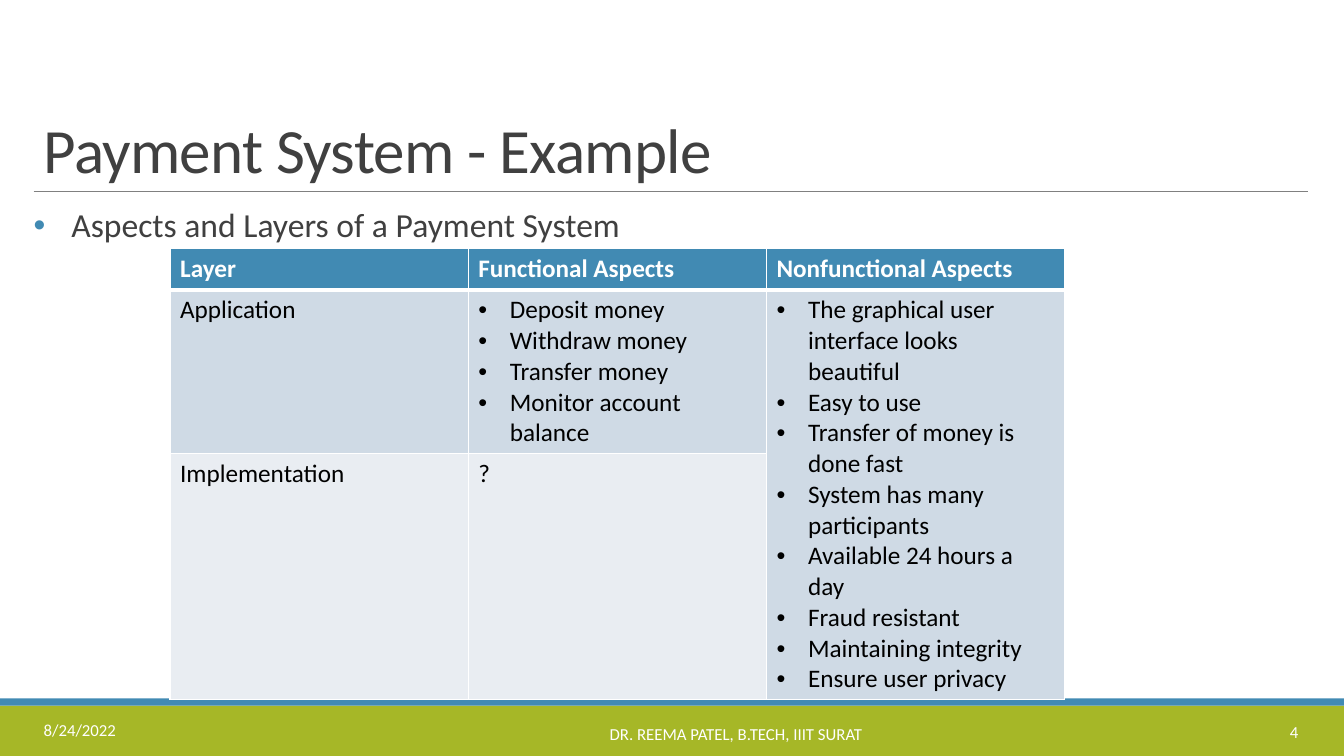
from lxml.etree import SubElement
from pptx import Presentation
from pptx.dml.color import RGBColor
from pptx.enum.shapes import MSO_CONNECTOR as CONN, MSO_SHAPE as SHAPE
from pptx.enum.text import MSO_ANCHOR as ANCHOR, MSO_AUTO_SIZE as AUTO, PP_ALIGN as ALIGN
from pptx.oxml import parse_xml
from pptx.oxml.ns import nsdecls, qn
from pptx.util import Pt

PX = 9525  # 96 px to the inch
COLORS = {"blue": "418AB3", "green": "A6B727", "rule": "808080", "text": "404040",
          "white": "FFFFFF", "black": "000000", "band1": "CFDAE5", "band2": "E9EDF2"}


def add_run(p, text, size, color, bold=False):
    r = p.add_run()
    r.text = text
    r.font.name, r.font.size, r.font.bold = "Calibri", Pt(size), bold
    r.font.color.rgb = RGBColor.from_string(COLORS[color])
    return r


def add_bullet(p, indent, color):
    pPr = p._p.get_or_add_pPr()
    pPr.set("marL", str(indent * PX))
    pPr.set("indent", str(-indent * PX))
    clr = SubElement(pPr, qn("a:buClr"))
    SubElement(clr, qn("a:srgbClr"), val=COLORS[color])
    SubElement(pPr, qn("a:buFont"), typeface="Arial")
    SubElement(pPr, qn("a:buChar"), char="•")


prs = Presentation()
prs.slide_width, prs.slide_height = 1280 * PX, 720 * PX
s = prs.slides.add_slide(prs.slide_layouts[5])

# Footer bars
for top, height, color in ((672, 48, "green"), (665, 7, "blue")):
    bar = s.shapes.add_shape(SHAPE.RECTANGLE, 0, top * PX, 1280 * PX, height * PX)
    bar.shadow.inherit = False
    bar.fill.solid()
    bar.fill.fore_color.rgb = RGBColor.from_string(COLORS[color])
    bar.line.fill.background()

# Rule under the title
rule = s.shapes.add_connector(CONN.STRAIGHT, 32 * PX, 182 * PX, 1246 * PX, 182 * PX)
rule.line.color.rgb = RGBColor.from_string(COLORS["rule"])
rule.line.width = Pt(0.5)
SubElement(rule._element.spPr, qn("a:effectLst"))

# Title
title = s.shapes.title
title.left, title.top, title.width, title.height = 32 * PX, 30 * PX, 1214 * PX, 152 * PX
tf = title.text_frame
tf.auto_size, tf.word_wrap, tf.vertical_anchor = AUTO.NONE, True, ANCHOR.BOTTOM
p = tf.paragraphs[0]
p.alignment, p.line_spacing = ALIGN.LEFT, 0.85
r = add_run(p, "Payment System - Example", 45, "text")
r.font._element.set("spc", "-50")

# Body line
body = s.shapes.add_textbox(32 * PX, 194 * PX, 1214 * PX, 447 * PX)
tf = body.text_frame
tf.word_wrap, tf.margin_left, tf.margin_right = True, 0, 0
p = tf.paragraphs[0]
p.line_spacing, p.space_before, p.space_after = 0.9, Pt(12), Pt(2)
add_bullet(p, 36, "blue")
add_run(p, "Aspects and Layers of a Payment System", 24, "text")

# Footer texts
FOOTERS = [
    ("8/24/2022", 32, 676, 259, 38, ALIGN.LEFT),
    ("DR. REEMA PATEL, B.TECH, IIIT SURAT", 312, 678, 778, 42, ALIGN.CENTER),
    ("4", 1109, 678, 137, 38, ALIGN.RIGHT),
]
for text, left, top, width, height, align in FOOTERS:
    box = s.shapes.add_textbox(left * PX, top * PX, width * PX, height * PX)
    tf = box.text_frame
    tf.word_wrap, tf.vertical_anchor = True, ANCHOR.MIDDLE
    p = tf.paragraphs[0]
    p.alignment = align
    add_run(p, text, 12, "white")

# Table: a list in a cell is bulleted
ROWS = [
    ["Layer", "Functional Aspects", "Nonfunctional Aspects"],
    ["Application",
     ["Deposit money", "Withdraw money", "Transfer money", "Monitor account balance"],
     ["The graphical user interface looks beautiful", "Easy to use",
      "Transfer of money is done fast", "System has many participants",
      "Available 24 hours a day", "Fraud resistant", "Maintaining integrity",
      "Ensure user privacy"]],
    ["Implementation", "?", ""],
]
ROW_HEIGHTS = [39, 156, 234]
ROW_FILLS = ["blue", "band1", "band2"]
COL_WIDTH = 284
table = s.shapes.add_table(3, 3, 162 * PX, 237 * PX, 3 * COL_WIDTH * PX,
                           sum(ROW_HEIGHTS) * PX).table
for col in table.columns:
    col.width = COL_WIDTH * PX
for i, row in enumerate(ROWS):
    table.rows[i].height = ROW_HEIGHTS[i] * PX
    for j, content in enumerate(row):
        cell = table.cell(i, j)
        cell.fill.solid()
        cell.fill.fore_color.rgb = RGBColor.from_string(COLORS[ROW_FILLS[i]])
        # White borders, thicker below the header
        widths = {"L": 1, "R": 1, "T": 3 if i == 1 else 1, "B": 3 if i == 0 else 1}
        for k, (side, width) in enumerate(widths.items()):
            cell._tc.get_or_add_tcPr().insert(k, parse_xml(
                f'<a:ln{side} {nsdecls("a")} w="{Pt(width)}"><a:solidFill>'
                f'<a:srgbClr val="{COLORS["white"]}"/></a:solidFill></a:ln{side}>'))
        bulleted = isinstance(content, list)
        tf = cell.text_frame
        for k, text in enumerate(content if bulleted else [content]):
            p = tf.add_paragraph() if k else tf.paragraphs[0]
            if bulleted:
                add_bullet(p, 30, "black")
            if text:
                add_run(p, text, 18, "black" if i else "white", bold=i == 0)
table.cell(1, 2).merge(table.cell(2, 2))

prs.save("out.pptx")
